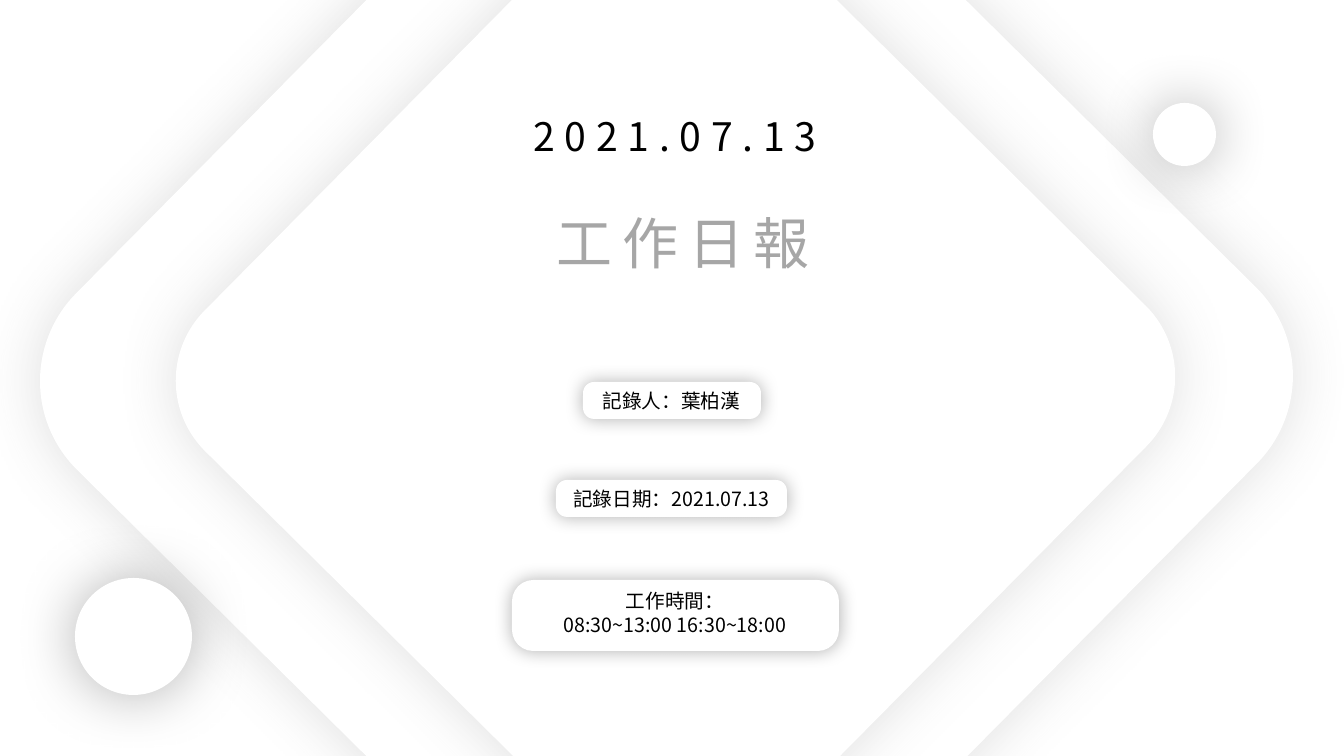
"""Build the cover slide of a daily work report."""
from dataclasses import dataclass
from typing import Optional

from lxml.etree import SubElement
from pptx import Presentation
from pptx.dml.color import RGBColor
from pptx.enum.shapes import MSO_SHAPE as Preset
from pptx.enum.text import MSO_ANCHOR as Anchor, MSO_AUTO_SIZE as AutoSize, PP_ALIGN as Align
from pptx.oxml.ns import qn
from pptx.util import Emu, Pt

PX = 914400 / 100.8
FONT = "Noto Sans CJK SC"
COLORS = {"white": "FFFFFF", "black": "000000", "title": "A6A6A6", "soft": "595959"}
FRAME_FORMAT = {"word_wrap": True, "vertical_anchor": Anchor.TOP, "auto_size": AutoSize.SHAPE_TO_FIT_TEXT}


@dataclass(frozen=True)
class Area:
    left: int
    top: int
    width: int
    height: int

    def emu(self) -> list[Emu]:
        return [Emu(round(side * PX)) for side in (self.left, self.top, self.width, self.height)]


@dataclass(frozen=True)
class Shadow:
    color: str
    opacity: int
    blur: int


@dataclass(frozen=True)
class Panel:
    area: Area
    preset: Preset
    shadow: Shadow
    corner: Optional[float] = None
    rotation: float = 0


@dataclass(frozen=True)
class Label:
    area: Area
    lines: tuple[str, ...]
    size: int = 14
    color: str = "black"
    spacing: int = 0


DIAMOND_SHADOW = Shadow("soft", 19, 43)
BALL_SHADOW = Shadow("black", 30, 43)
PILL_SHADOW = Shadow("black", 30, 13)

BACKDROP = [
    *(Panel(area, Preset.ROUNDED_RECTANGLE, DIAMOND_SHADOW, 0.13, 44.7)
      for area in (Area(187, -101, 959, 959), Area(293, -4, 765, 765))),
    *(Panel(area, Preset.OVAL, BALL_SHADOW)
      for area in (Area(75, 578, 117, 117), Area(1153, 103, 63, 63))),
]
DATE = Label(Area(308, 107, 734, 57), ("2021.07.13",), 28, "black", 7)
TITLE = Label(Area(444, 203, 479, 78), ("工作日報",), 40, "title", 7)
DETAILS = [
    (Area(583, 382, 178, 37), Label(Area(566, 384, 211, 34), ("記錄人：葉柏漢",))),
    (Area(556, 480, 231, 37), Label(Area(550, 482, 243, 34), ("記錄日期：2021.07.13",))),
    (Area(512, 580, 327, 71),
     Label(Area(503, 584, 344, 57), ("工作時間：", "08:30~13:00 16:30~18:00"))),
]


def rgb(name: str) -> RGBColor:
    return RGBColor.from_string(COLORS[name])


def add_shadow(shape, shadow: Shadow) -> None:
    shape.shadow.inherit = False
    effects = shape.element.spPr.find(qn("a:effectLst"))
    outer = SubElement(effects, qn("a:outerShdw"), blurRad=str(Pt(shadow.blur)),
                       dist="0", dir="0", algn="ctr", rotWithShape="0")
    color = SubElement(outer, qn("a:srgbClr"), val=COLORS[shadow.color])
    SubElement(color, qn("a:alpha"), val=str(shadow.opacity * 1000))


def draw_panel(shapes, panel: Panel) -> None:
    shape = shapes.add_shape(panel.preset, *panel.area.emu())
    shape.fill.solid()
    shape.fill.fore_color.rgb = rgb("white")
    shape.line.fill.background()
    shape.rotation = panel.rotation
    if panel.corner is not None:
        shape.adjustments[0] = panel.corner
    add_shadow(shape, panel.shadow)


def write_label(box, label: Label) -> None:
    for side, value in zip(("left", "top", "width", "height"), label.area.emu()):
        setattr(box, side, value)
    frame = box.text_frame
    frame.text = "\n".join(label.lines)
    for name, value in FRAME_FORMAT.items():
        setattr(frame, name, value)
    for para in frame.paragraphs:
        para.alignment = Align.CENTER
        for run in para.runs:
            run.font.color.rgb = rgb(label.color)
            for name, value in {"size": Pt(label.size), "name": FONT}.items():
                setattr(run.font, name, value)
            properties = run.font._element if hasattr(run.font, "_element") else run._r.get_or_add_rPr()
            properties.set("spc", str(label.spacing * 100))
            SubElement(properties, qn("a:ea"), typeface=FONT)


def draw_label(shapes, label: Label) -> None:
    write_label(shapes.add_textbox(*label.area.emu()), label)


def main() -> None:
    deck = Presentation()
    deck.slide_width, deck.slide_height = Emu(round(1344 * PX)), Emu(round(756 * PX))
    page = deck.slides.add_slide(deck.slide_layouts[5])
    for panel in BACKDROP:
        draw_panel(page.shapes, panel)
    draw_label(page.shapes, DATE)
    title = page.shapes.title
    page.shapes.element.append(title.element)
    write_label(title, TITLE)
    for area, label in DETAILS:
        group = page.shapes.add_group_shape()
        draw_panel(group.shapes, Panel(area, Preset.ROUNDED_RECTANGLE, PILL_SHADOW, 0.3))
        draw_label(group.shapes, label)
    deck.save("out.pptx")


if __name__ == "__main__":
    main()
